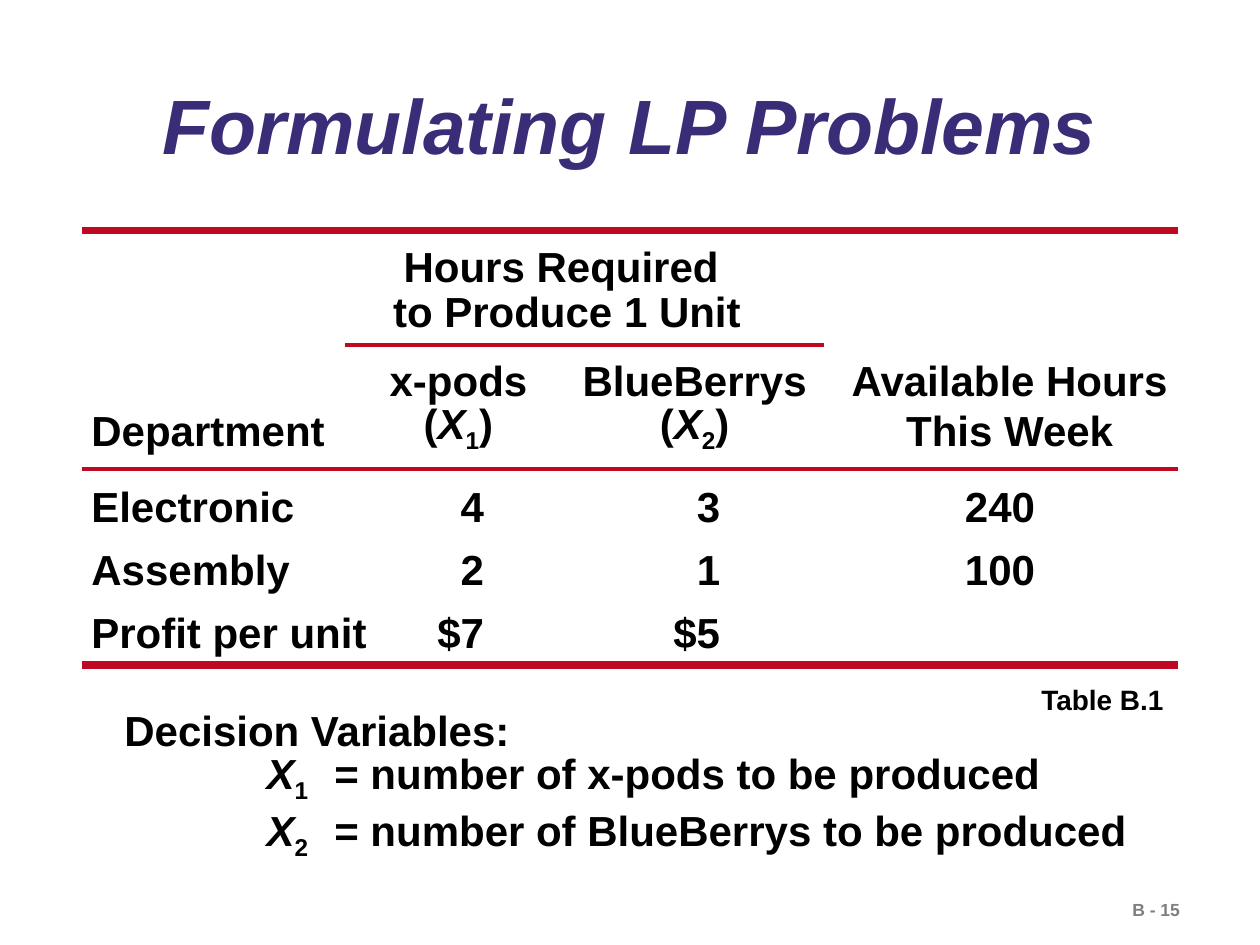
import pptx
import pptx.util
import pptx.dml.color
import pptx.enum.shapes
import pptx.enum.text
from lxml import etree

Pt = pptx.util.Pt
ALIGN = pptx.enum.text.PP_ALIGN
ANCHOR = pptx.enum.text.MSO_ANCHOR

# Content: a line is a string or a list of (text, style); i = italic, sub = subscript
TITLE = "Formulating LP Problems"
SPANNER = ["Hours Required ", "to Produce 1 Unit"]
HEADERS = [
    ["Department"],
    ["x-pods", [("(", ""), ("X", "i"), ("1", "sub"), (")", "")]],
    ["BlueBerrys", [("(", ""), ("X", "i"), ("2", "sub"), (")", "")]],
    ["Available Hours", "This Week"],
]
ROWS = [
    ("Electronic", "4", "3", "240"),
    ("Assembly", "2", "1", "100"),
    ("Profit per unit", "$7", "$5", ""),
]
VARIABLES = [
    "Decision Variables:",
    [("\t", ""), ("X", "i"), ("1\t", "sub"), ("= number of x-pods to be produced", "")],
    [("\t", ""), ("X", "i"), ("2\t", "sub"), ("= number of BlueBerrys to be produced", "")],
]
CAPTION = "Table B.1"
PAGE = "B - 15"

# Look and layout
BLACK, PURPLE, RED, GREY = "000000", "3A2C76", "BF0922", "7F7F7F"
LINE, TIGHT = 28.6, 25.7
LEFT, TOP = 45, 131.75
WIDTHS = [169, 96, 174, 186]
HEIGHTS = [65.5, 70.5, 36, 36, 36]
NUMBER_INSETS = [0, 33.4, 72.5, 78.5]
RULES = [  # x1, x2, y, weight
    (46.8, 673.2, 131.75, 4.5),
    (197.3, 470.9, 197.3, 2.25),
    (46.8, 673.2, 267.8, 2.25),
    (46.8, 673.2, 380.2, 4.5),
]


def rgb(value):
    return pptx.dml.color.RGBColor.from_string(value)


def write(tf, lines, size=24, color=BLACK, align=ALIGN.LEFT, spacing=None, italic=False):
    for n, line in enumerate(lines):
        p = tf.paragraphs[0] if n == 0 else tf.add_paragraph()
        p.alignment = align
        if spacing:
            p.line_spacing = spacing
        for text, style in [(line, "")] if isinstance(line, str) else line:
            r = p.add_run()
            r.text = text
            r.font.name = "Arial"
            r.font.size = Pt(size)
            r.font.bold = True
            r.font.italic = italic or style == "i"
            r.font.color.rgb = rgb(color)
            if style == "sub":
                r.font._element.set("baseline", "-25000")


def text_box(s, x, y, w, h, lines, **look):
    tf = s.shapes.add_textbox(Pt(x), Pt(y), Pt(w), Pt(h)).text_frame
    tf.word_wrap = True
    write(tf, lines, **look)
    return tf


def fill_cell(cell, lines, align, left=0, right=0, bottom=0, spacing=LINE):
    cell.vertical_anchor = ANCHOR.BOTTOM
    cell.margin_left, cell.margin_right = Pt(left), Pt(right)
    cell.margin_top, cell.margin_bottom = Pt(0), Pt(bottom)
    write(cell.text_frame, lines, align=align, spacing=Pt(spacing))


def set_tabs(p, stops):
    tabs = etree.SubElement(p._p.get_or_add_pPr(), pptx.oxml.ns.qn("a:tabLst"))
    for pos, kind in stops:
        etree.SubElement(tabs, pptx.oxml.ns.qn("a:tab"), pos=str(Pt(pos)), algn=kind)


def add_rule(s, x1, x2, y, weight):
    line = s.shapes.add_connector(
        pptx.enum.shapes.MSO_CONNECTOR.STRAIGHT, Pt(x1), Pt(y), Pt(x2), Pt(y))
    line.line.color.rgb = rgb(RED)
    line.line.width = Pt(weight)
    etree.SubElement(line._element.spPr, pptx.oxml.ns.qn("a:effectLst"))


def add_hours_table(s):
    tbl = s.shapes.add_table(len(HEIGHTS), len(WIDTHS), Pt(LEFT), Pt(TOP),
                             Pt(sum(WIDTHS)), Pt(sum(HEIGHTS))).table
    tbl.first_row = tbl.horz_banding = False
    for col, width in zip(tbl.columns, WIDTHS):
        col.width = Pt(width)
    for row, height in zip(tbl.rows, HEIGHTS):
        row.height = Pt(height)
    for cell in tbl.iter_cells():
        cell.fill.background()

    # Header rows
    tbl.cell(0, 1).merge(tbl.cell(0, 2))
    fill_cell(tbl.cell(0, 1), SPANNER, ALIGN.CENTER, right=50, bottom=5.3, spacing=TIGHT)
    for c, lines in enumerate(HEADERS):
        align, left = (ALIGN.CENTER, 0) if c else (ALIGN.LEFT, 7.2)
        fill_cell(tbl.cell(1, c), lines, align, left=left, bottom=7.8)

    # Department rows
    for n, values in enumerate(ROWS, start=2):
        for c, value in enumerate(values):
            align, left = (ALIGN.RIGHT, 0) if c else (ALIGN.LEFT, 7.2)
            fill_cell(tbl.cell(n, c), [value] if value else [], align,
                      left=left, right=NUMBER_INSETS[c])


def main():
    prs = pptx.Presentation()
    prs.slide_width, prs.slide_height = Pt(720), Pt(540)
    s = prs.slides.add_slide(prs.slide_layouts[5])

    # Title
    title = s.shapes.title
    title.left, title.top, title.width, title.height = Pt(54), Pt(34.5), Pt(612), Pt(79)
    title.text_frame.vertical_anchor = ANCHOR.MIDDLE
    write(title.text_frame, [TITLE], size=44, color=PURPLE, align=ALIGN.CENTER,
          spacing=0.9, italic=True)

    # Table and its rules
    add_hours_table(s)
    for rule in RULES:
        add_rule(s, *rule)

    # Decision variables
    tf = text_box(s, 64, 399, 620, 101, VARIABLES, spacing=Pt(LINE))
    for p in tf.paragraphs[1:]:
        set_tabs(p, [(105, "r"), (120, "l")])
    tf.paragraphs[2].space_before = Pt(4)

    # Caption and page number
    text_box(s, 588, 386.5, 90, 27, [CAPTION], size=16)
    text_box(s, 640, 510, 78, 19, [PAGE], size=10, color=GREY)

    prs.save("out.pptx")


if __name__ == "__main__":
    main()
